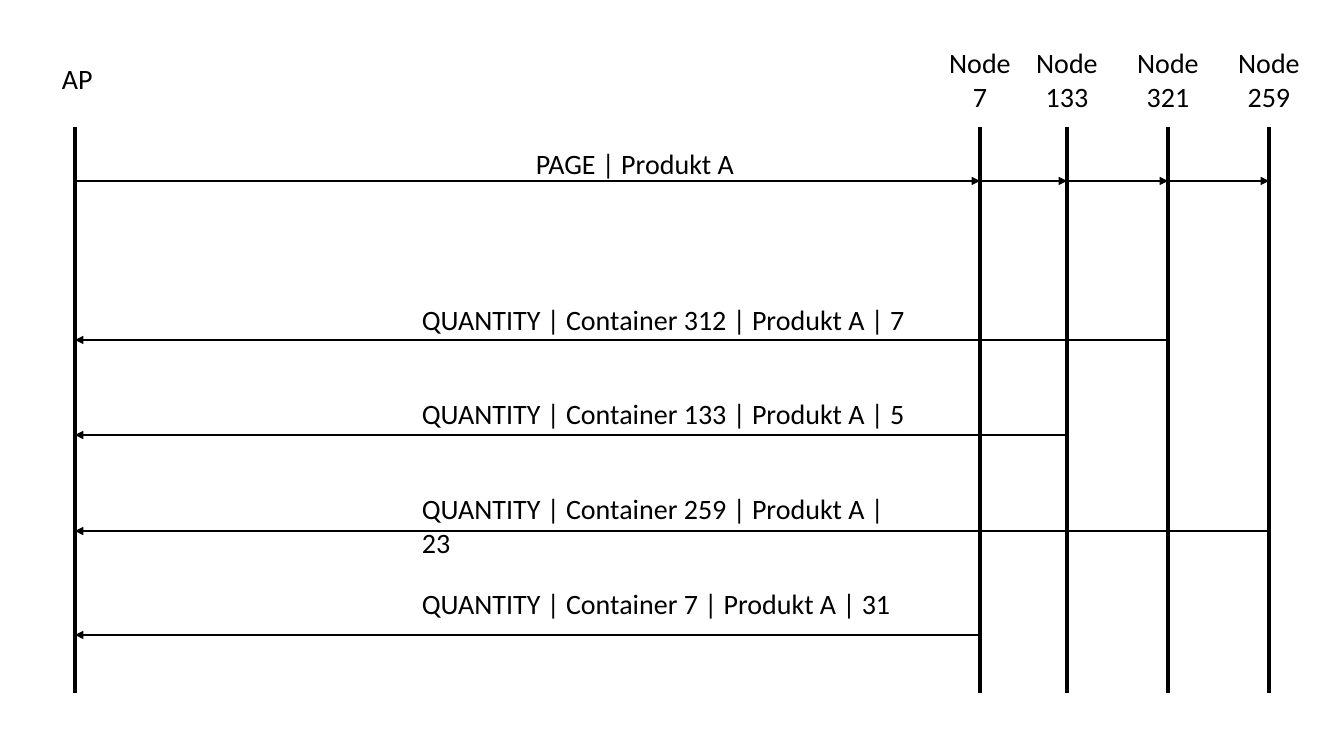
from dataclasses import dataclass
from itertools import pairwise

from lxml import etree
from pptx import Presentation
from pptx import util as u
from pptx.dml import color
from pptx.enum import shapes, text
from pptx.oxml import ns

EMU_PER_PIXEL = 914400 / 100.8


@dataclass(frozen=True)
class Theme:
    ink: color.RGBColor = color.RGBColor(0, 0, 0)
    font: str = "Calibri"
    text_size: u.Pt = u.Pt(20)
    lifeline_width: u.Pt = u.Pt(3)
    message_width: u.Pt = u.Pt(1)


THEME = Theme()

AP = "AP"
LIFELINES = {AP: 75, "Node 7": 980, "Node 133": 1067, "Node 321": 1168, "Node 259": 1269}
LIFELINE_TOP, LIFELINE_BOTTOM = 127, 693
NODE_HEADING_WIDTH = 92
PAGE_Y = 181
LABEL_HEIGHT = 44

REPLIES = [
    ("Node 321", 340, 298, "QUANTITY | Container 312 | Produkt A | 7"),
    ("Node 133", 435, 392, "QUANTITY | Container 133 | Produkt A | 5"),
    ("Node 259", 531, 487, "QUANTITY | Container 259 | Produkt A | 23"),
    ("Node 7", 635, 582, "QUANTITY | Container 7 | Produkt A | 31"),
]


def px(pixels):
    return u.Emu(round(pixels * EMU_PER_PIXEL))


def add_line(slide, start, end, width):
    line = slide.shapes.add_connector(
        shapes.MSO_CONNECTOR.STRAIGHT, *map(px, (*start, *end))
    )
    line.line.color.rgb = THEME.ink
    line.line.width = width
    etree.SubElement(line._element.spPr, ns.qn("a:effectLst"))
    return line


def add_lifeline(slide, x):
    add_line(slide, (x, LIFELINE_TOP), (x, LIFELINE_BOTTOM), THEME.lifeline_width)


def add_message(slide, sender, receiver, y):
    arrow = add_line(
        slide, (LIFELINES[sender], y), (LIFELINES[receiver], y), THEME.message_width
    )
    etree.SubElement(arrow.line._get_or_add_ln(), ns.qn("a:tailEnd"), type="triangle")


def add_label(slide, wording, left, top, width, height=LABEL_HEIGHT,
              align=text.PP_ALIGN.LEFT):
    label = slide.shapes.add_textbox(*map(px, (left, top, width, height)))
    frame = label.text_frame
    frame.word_wrap = True
    frame.auto_size = text.MSO_AUTO_SIZE.SHAPE_TO_FIT_TEXT
    paragraph = frame.paragraphs[0]
    paragraph.text = wording
    paragraph.alignment = align
    paragraph.font.name = THEME.font
    paragraph.font.size = THEME.text_size
    paragraph.font.color.rgb = THEME.ink


def add_node_heading(slide, node):
    left = LIFELINES[node] - NODE_HEADING_WIDTH // 2
    add_label(slide, node, left, 41, NODE_HEADING_WIDTH, 78, text.PP_ALIGN.CENTER)


def main():
    deck = Presentation()
    deck.slide_width, deck.slide_height = px(1344), px(756)
    slide = deck.slides.add_slide(deck.slide_layouts[6])

    for x in LIFELINES.values():
        add_lifeline(slide, x)

    add_label(slide, AP, 52, 57, 85)
    for node in list(LIFELINES)[1:]:
        add_node_heading(slide, node)

    add_label(slide, "PAGE | Produkt A", 526, 142, 244)
    for sender, receiver in pairwise(LIFELINES):
        add_message(slide, sender, receiver, PAGE_Y)

    for sender, y, label_top, wording in REPLIES:
        add_label(slide, wording, 412, label_top, 517)
        add_message(slide, sender, AP, y)

    deck.save("out.pptx")


main()
